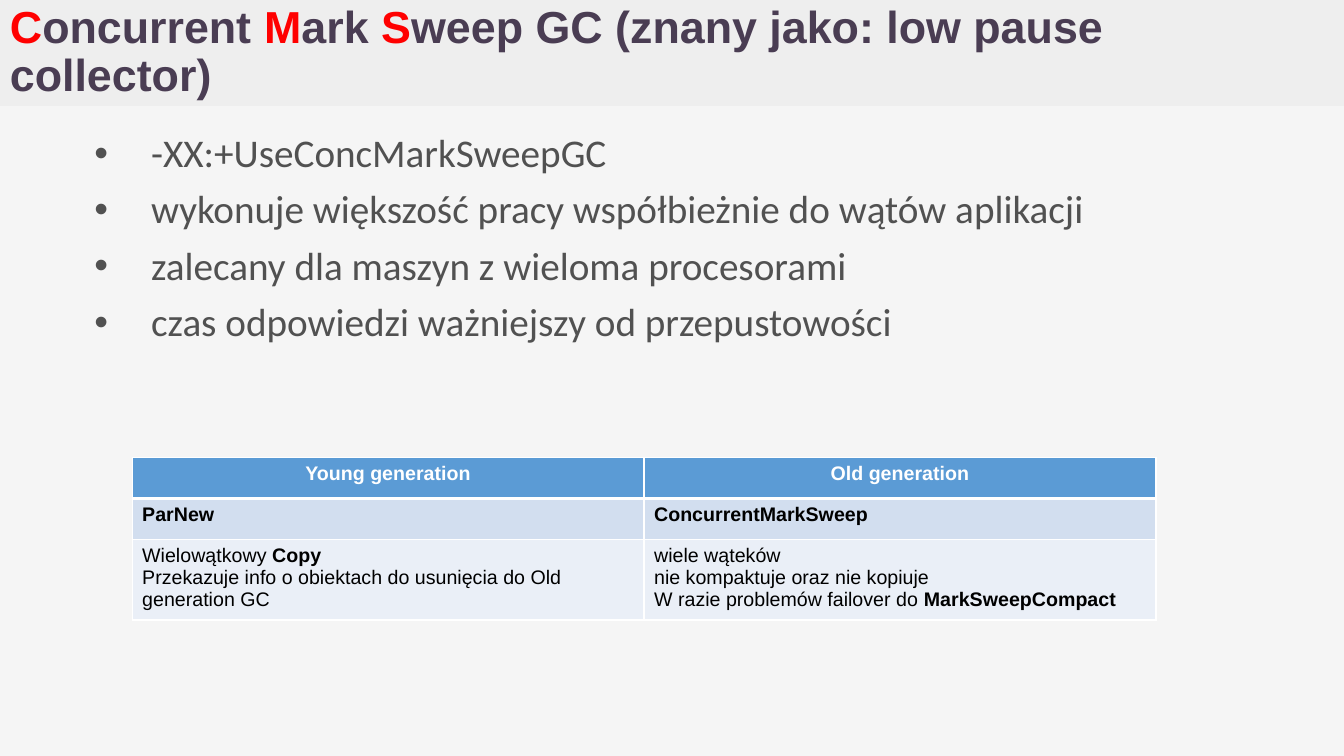
import pptx
import pptx.dml.color
import pptx.enum.shapes
import pptx.enum.text
import pptx.oxml
import pptx.oxml.ns
import pptx.util

Cm, Pt = pptx.util.Cm, pptx.util.Pt
RGB = pptx.dml.color.RGBColor
Align = pptx.enum.text.PP_ALIGN
Anchor = pptx.enum.text.MSO_ANCHOR

PAPER = RGB(0xF5, 0xF5, 0xF5)
BAND = RGB(0xEE, 0xEE, 0xEE)
PLUM = RGB(0x4A, 0x3D, 0x53)
RED = RGB(0xFF, 0x00, 0x00)
GREY = RGB(0x51, 0x51, 0x51)
WHITE = RGB(0xFF, 0xFF, 0xFF)
BLACK = RGB(0x00, 0x00, 0x00)
BLUE = RGB(0x5B, 0x9B, 0xD5)
SKY = RGB(0xD2, 0xDE, 0xEF)
ICE = RGB(0xEA, 0xEF, 0xF7)

TITLE = "*C*oncurrent *M*ark *S*weep GC (znany jako: low pause collector)"
POINTS = [
    "-XX:+UseConcMarkSweepGC",
    "wykonuje większość pracy współbieżnie do wątów aplikacji",
    "zalecany dla maszyn z wieloma procesorami",
    "czas odpowiedzi ważniejszy od przepustowości",
]
CELLS = [
    ["Young generation", "Old generation"],
    ["*ParNew*", "*ConcurrentMarkSweep*"],
    ["Wielowątkowy *Copy*\n"
     "Przekazuje info o obiektach do usunięcia do Old generation GC",
     "wiele wąteków\nnie kompaktuje oraz nie kopiuje\n"
     "W razie problemów failover do *MarkSweepCompact*"],
]


def node(tag, **attrs):
    item = pptx.oxml.parse_xml(f"<a:{tag} {pptx.oxml.ns.nsdecls('a')}/>")
    for key, value in attrs.items():
        item.set(key, str(value))
    return item


def write(frame, text, font="Arial", size=14, color=BLACK, bold=False,
          mark=None, align=None, lead=None, before=None, bullet=None):
    """Fill a frame, one paragraph a line; *starred* parts are bold, in the mark colour."""
    for i, line in enumerate(text.split("\n")):
        para = frame.add_paragraph() if i else frame.paragraphs[0]
        para.alignment = align
        para.line_spacing = lead
        para.space_before = before
        if bullet:
            props = para._p.get_or_add_pPr()
            props.set("marL", str(bullet))
            props.set("indent", str(-bullet))
            props.append(node("buFont", typeface="Arial"))
            props.append(node("buChar", char="•"))
        for j, part in enumerate(line.split("*")):
            if not part:
                continue
            run = para.add_run()
            run.text = part
            starred = j % 2 == 1
            run.font.name = font
            run.font.size = size if size > 1000 else Pt(size)
            run.font.bold = bold or starred
            run.font.color.rgb = mark if starred and mark else color


class Deck:
    def __init__(self):
        self.show = pptx.Presentation()
        self.show.slide_width = Cm(33.87)
        self.show.slide_height = Cm(19.05)
        self.slide = self.show.slides.add_slide(self.show.slide_layouts[6])
        fill = self.slide.background.fill
        fill.solid()
        fill.fore_color.rgb = PAPER

    def band(self, height, color):
        kind = pptx.enum.shapes.MSO_SHAPE.RECTANGLE
        shape = self.slide.shapes.add_shape(
            kind, 0, 0, self.show.slide_width, height)
        shape.shadow.inherit = False
        shape.fill.solid()
        shape.fill.fore_color.rgb = color
        shape.line.fill.background()

    def text(self, box, text, anchor=Anchor.TOP, **style):
        frame = self.slide.shapes.add_textbox(*box).text_frame
        frame.word_wrap = True
        frame.vertical_anchor = anchor
        frame.margin_left = frame.margin_right = Cm(0.25)
        frame.margin_top = frame.margin_bottom = Cm(0.25)
        write(frame, text, **style)

    def edge(self, cell, side, width):
        line = node(side, w=Pt(width))
        fill = node("solidFill")
        fill.append(node("srgbClr", val=WHITE))
        line.append(fill)
        return line

    def table(self, box, rows, fills):
        table = self.slide.shapes.add_table(
            len(rows), len(rows[0]), *box).table
        for r, row in enumerate(rows):
            head = r == 0
            for c, text in enumerate(row):
                cell = table.cell(r, c)
                write(cell.text_frame, text, bold=head,
                      color=WHITE if head else BLACK,
                      align=Align.CENTER if head else None)
                props = cell._tc.get_or_add_tcPr()
                for side in ("lnL", "lnR", "lnT", "lnB"):
                    thick = (side, r) in (("lnB", 0), ("lnT", 1))
                    props.append(self.edge(cell, side, 3 if thick else 1))
                cell.fill.solid()
                cell.fill.fore_color.rgb = fills[r]


def main():
    deck = Deck()
    deck.band(Cm(2.67), BAND)
    deck.text((0, 0, Cm(30.25), Cm(2.67)), TITLE, anchor=Anchor.MIDDLE,
              size=32, color=PLUM, mark=RED, bold=True, lead=0.9)
    deck.text((Cm(2.13), Cm(3.12), Cm(29.21), Cm(7.6)), "\n".join(POINTS),
              font="Calibri", size=28, color=GREY, lead=0.9,
              before=Pt(10), bullet=Cm(1.43))
    deck.table((Cm(3.33), Cm(11.53), Cm(25.8), Cm(3.09)), CELLS,
               (BLUE, SKY, ICE))
    deck.show.save("out.pptx")


if __name__ == "__main__":
    main()
